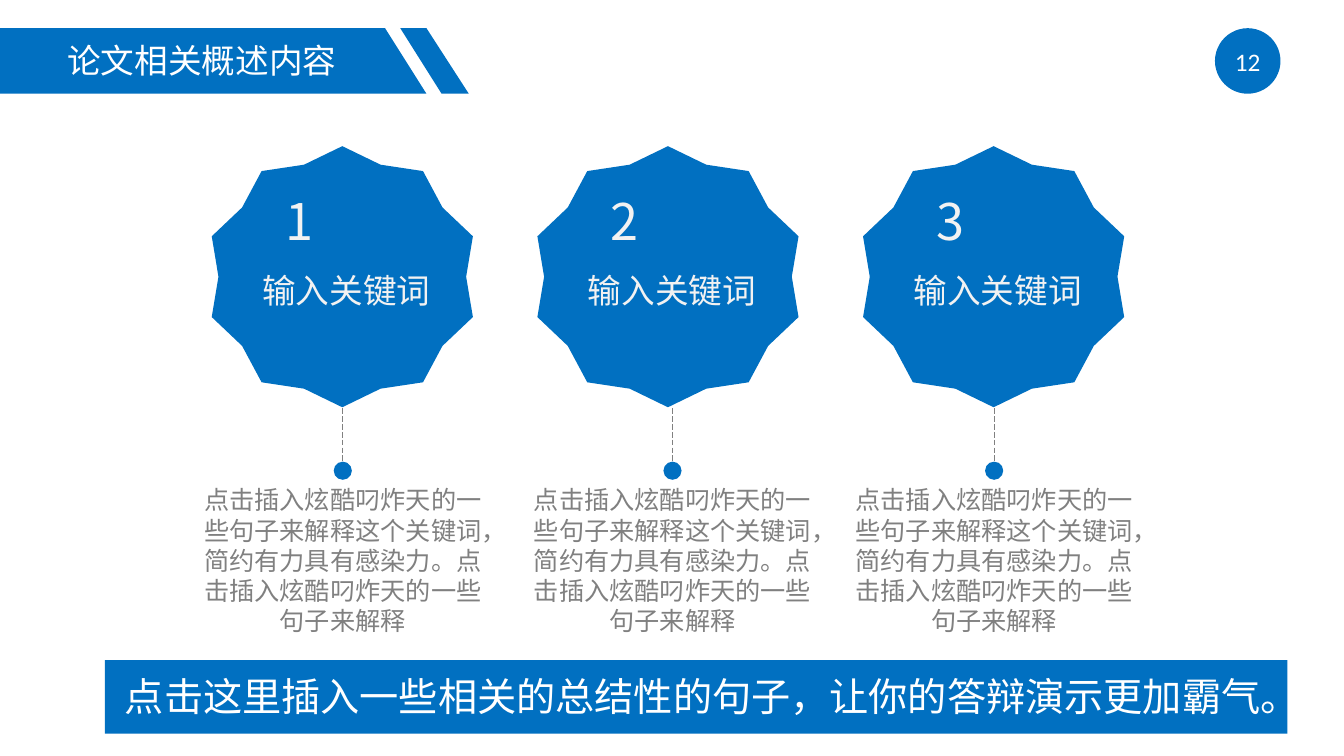
from dataclasses import dataclass
from lxml.etree import SubElement
from pptx import Presentation
from pptx.dml.color import RGBColor
from pptx.enum.dml import MSO_LINE
from pptx.enum.shapes import MSO_CONNECTOR, MSO_SHAPE
from pptx.enum.text import MSO_AUTO_SIZE, PP_ALIGN
from pptx.oxml.ns import qn
from pptx.util import Inches, Pt

TITLE = "论文相关概述内容"
PAGE_NUMBER = "12"
EXPLANATION = "点击插入炫酷叼炸天的一些句子来解释这个关键词，简约有力具有感染力。点击插入炫酷叼炸天的一些句子来解释"
KEYWORDS = [
    {"number": "1", "keyword": "输入关键词", "explanation": EXPLANATION, "stem": 3.4},
    {"number": "2", "keyword": "输入关键词", "explanation": EXPLANATION, "stem": 6.67},
    {"number": "3", "keyword": "输入关键词", "explanation": EXPLANATION, "stem": 9.86},
]
SUMMARY = "点击这里插入一些相关的总结性的句子，让你的答辩演示更加霸气。"


@dataclass(frozen=True)
class Theme:
    blue: RGBColor = RGBColor.from_string("0170C1")
    gray: RGBColor = RGBColor.from_string("808080")
    white: RGBColor = RGBColor.from_string("FFFFFF")
    pale: RGBColor = RGBColor.from_string("F2F2F2")
    heading_font: str = "Noto Sans CJK JP"
    body_font: str = "Noto Sans CJK SC"
    page_font: str = "Calibri"
    body: int = 18
    heading: int = 24
    summary: int = 28
    number: int = 36


THEME = Theme()
COLUMNS, ROWS = 13.33, 7.5
BAND_TOP, BAND_BOTTOM = 0.28, 0.93
BAND_HEIGHT = BAND_BOTTOM - BAND_TOP
BANNERS = [
    [(0, BAND_TOP), (3.82, BAND_TOP), (4.23, BAND_BOTTOM), (0, BAND_BOTTOM)],
    [(3.97, BAND_TOP), (4.23, BAND_TOP), (4.65, BAND_BOTTOM), (4.38, BAND_BOTTOM)],
]
STAR_LEFT, STAR_TOP, STAR_SIZE, STAR_STEP = 2.1, 1.45, 2.59, 3.23
STEM_TOP, STEM_BOTTOM, DOT_SIZE = 4.05, 4.75, 0.18
EXPLANATION_WIDTH = 3.1

HEADING = {"size": Pt(THEME.heading), "name": THEME.heading_font}
FORMATS = {
    "title": {**HEADING, "color": THEME.white},
    "page": {"size": Pt(THEME.body), "name": THEME.page_font, "color": THEME.white},
    "keyword": {**HEADING, "color": THEME.pale},
    "number": {**HEADING, "size": Pt(THEME.number), "color": THEME.pale},
    "explanation": {"size": Pt(THEME.body), "name": THEME.body_font, "color": THEME.gray},
    "summary": {**HEADING, "size": Pt(THEME.summary), "color": THEME.white},
}


def lengths(*values):
    return [Inches(value) for value in values]


def paint(shape):
    shape.shadow.inherit = False
    shape.fill.solid()
    shape.fill.fore_color.rgb = THEME.blue
    shape.line.fill.background()
    return shape


def add_block(shapes, kind, *box):
    return paint(shapes.add_shape(kind, *lengths(*box)))


def add_banner(shapes, points):
    start, *rest = [lengths(*point) for point in points]
    builder = shapes.build_freeform(*start)
    builder.add_line_segments(rest, close=True)
    paint(builder.convert_to_shape())


def add_text(shapes, text, role, box, alignment=PP_ALIGN.LEFT):
    frame = shapes.add_textbox(*lengths(*box)).text_frame
    frame.word_wrap = True
    frame.auto_size = MSO_AUTO_SIZE.SHAPE_TO_FIT_TEXT
    paragraph = frame.paragraphs[0]
    paragraph.alignment = alignment
    run = paragraph.add_run()
    run.text = text
    for name, value in FORMATS[role].items():
        if name == "color":
            run.font.color.rgb = value
        else:
            setattr(run.font, name, value)
    SubElement(run.font._element, qn("a:ea"), typeface=FORMATS[role]["name"])


def add_stem(shapes, center):
    stem = shapes.add_connector(
        MSO_CONNECTOR.STRAIGHT, *lengths(center, STEM_TOP, center, STEM_BOTTOM)
    )
    stem.line.color.rgb = THEME.gray
    stem.line.width = Pt(0.5)
    stem.line.dash_style = MSO_LINE.LONG_DASH
    SubElement(stem._element.spPr, qn("a:effectLst"))


def add_keyword(slide, index, item):
    shapes = slide.shapes.add_group_shape().shapes
    left = STAR_LEFT + index * STAR_STEP
    center = item["stem"]
    add_stem(shapes, center)
    star = add_block(shapes, MSO_SHAPE.STAR_10_POINT, left, STAR_TOP, STAR_SIZE, STAR_SIZE)
    star.adjustments[0] = 0.451
    add_text(shapes, item["keyword"], "keyword", (left + 0.235, 2.63, 2.2, 0.5), PP_ALIGN.CENTER)
    add_text(shapes, item["number"], "number", (left + 0.63, 1.84, 1.34, 0.71), PP_ALIGN.JUSTIFY)
    add_block(shapes, MSO_SHAPE.OVAL, center - DOT_SIZE / 2, 4.58, DOT_SIZE, DOT_SIZE)
    add_text(
        slide.shapes, item["explanation"], "explanation",
        (center - EXPLANATION_WIDTH / 2, 4.76, EXPLANATION_WIDTH, 1.62), PP_ALIGN.CENTER,
    )


def main():
    presentation = Presentation()
    presentation.slide_width, presentation.slide_height = lengths(COLUMNS, ROWS)
    slide = presentation.slides.add_slide(presentation.slide_layouts[6])
    for points in BANNERS:
        add_banner(slide.shapes, points)
    add_block(slide.shapes, MSO_SHAPE.OVAL, 12.05, BAND_TOP, BAND_HEIGHT, BAND_HEIGHT)
    add_text(slide.shapes, TITLE, "title", (0.57, 0.35, 3.47, 0.5))
    add_text(slide.shapes, PAGE_NUMBER, "page", (12.15, 0.41, 0.48, 0.4))
    for index, item in enumerate(KEYWORDS):
        add_keyword(slide, index, item)
    summary = slide.shapes.add_group_shape().shapes
    add_block(summary, MSO_SHAPE.RECTANGLE, 1.04, 6.55, 11.73, 0.73)
    add_text(summary, SUMMARY, "summary", (1.14, 6.62, 11.62, 0.57))
    presentation.save("out.pptx")


if __name__ == "__main__":
    main()
